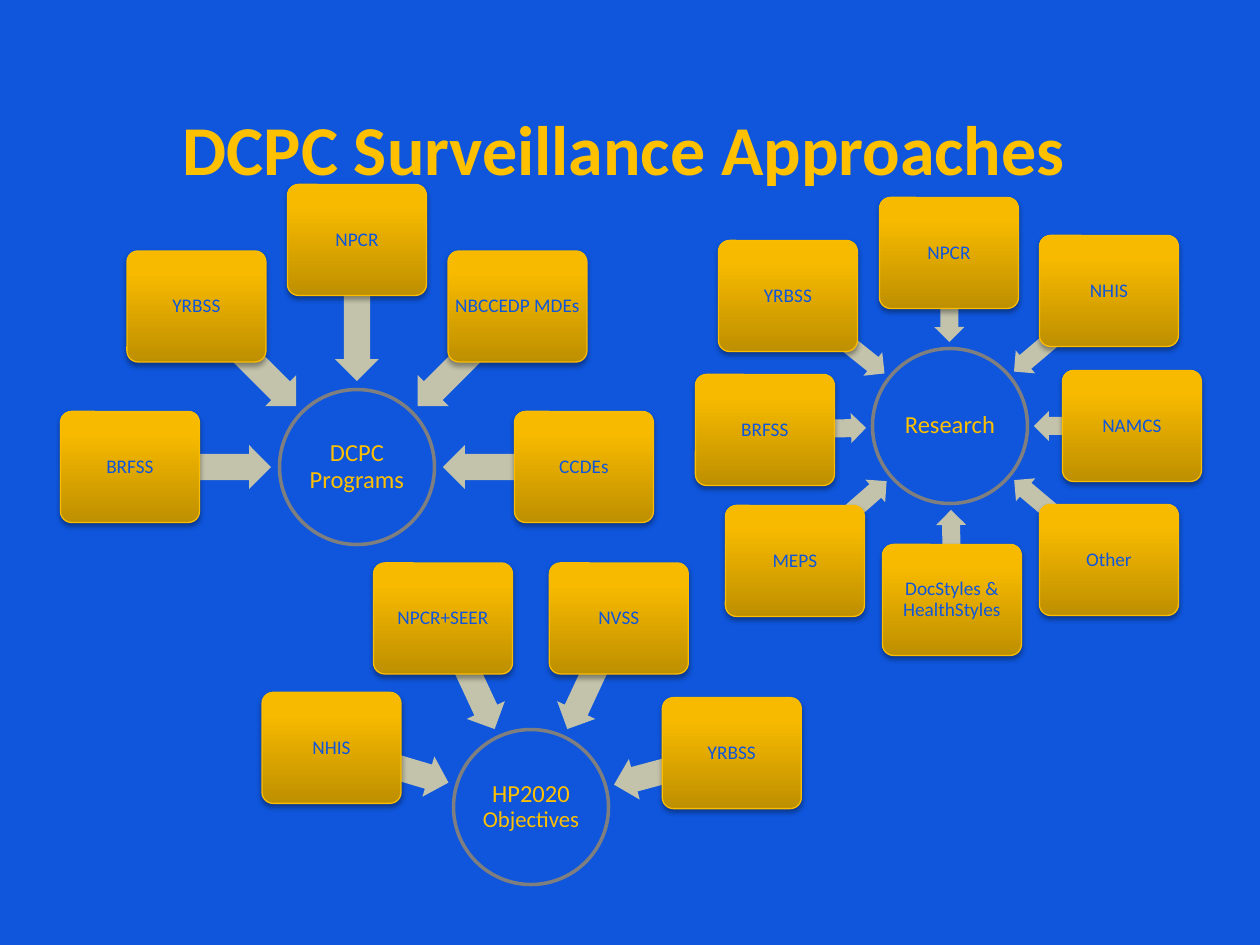
import math
from dataclasses import dataclass

import pptx
import pptx.dml.color
import pptx.enum.shapes
import pptx.enum.text
import pptx.oxml
import pptx.oxml.ns
import pptx.util

SHAPE = pptx.enum.shapes.MSO_SHAPE
ANCHOR = pptx.enum.text.MSO_ANCHOR
NS = pptx.oxml.ns.nsdecls("a")


@dataclass(frozen=True)
class Theme:
    font: str = "Calibri"
    blue: str = "0F56DC"
    gold: str = "FFC000"
    ring: str = "7F7F7F"
    arrow: str = "C3C3AB"
    edge: str = "F9BC00"
    gradient: tuple = ((0, "BE8F00"), (80, "F7BA00"), (100, "F8BB00"))
    title_size: int = 40
    hub_size: int = 14
    node_size: int = 11


def px(n):
    return pptx.util.Emu(round(n * 914400 / 126))


def rgb(value):
    return pptx.dml.color.RGBColor.from_string(value)


def polar(center, radius, degrees):
    a = math.radians(degrees)
    return center[0] + radius * math.cos(a), center[1] + radius * math.sin(a)


class Diagram:
    HUB = 155
    NODE = (139, 111)

    def __init__(self, slide, theme):
        self.slide, self.theme = slide, theme
        slide.background.fill.solid()
        slide.background.fill.fore_color.rgb = rgb(theme.blue)

    def shape(self, kind, center, width, height):
        x, y = center
        sp = self.slide.shapes.add_shape(
            kind, px(x - width / 2), px(y - height / 2), px(width), px(height))
        sp.shadow.inherit = False
        return sp

    def label(self, sp, runs, size, color, inset=None, anchor=ANCHOR.MIDDLE, bold=False):
        """Fill sp with one centred paragraph; runs are (text, own size or None)."""
        tf = sp.text_frame
        tf.word_wrap = True
        tf.vertical_anchor = anchor
        if inset is not None:
            tf.margin_left = tf.margin_right = tf.margin_top = tf.margin_bottom = px(inset)
        p = tf.paragraphs[0]
        p.alignment = pptx.enum.text.PP_ALIGN.CENTER
        p.line_spacing = 0.9
        p.font.name, p.font.bold = self.theme.font, bold
        p.font.size = pptx.util.Pt(size)
        p.font.color.rgb = rgb(color)
        for text, own_size in runs:
            r = p.add_run()
            r.text = text
            if own_size:
                r.font.size = pptx.util.Pt(own_size)

    def title(self, text):
        t = self.theme
        sp = self.slide.shapes.add_textbox(px(57), px(92), px(1134), px(105))
        self.label(sp, [(text, None)], t.title_size, t.gold, anchor=ANCHOR.BOTTOM, bold=True)

    def hub(self, center, runs):
        t = self.theme
        sp = self.shape(SHAPE.OVAL, center, self.HUB, self.HUB)
        sp.fill.solid()
        sp.fill.fore_color.rgb = rgb(t.blue)
        sp.line.color.rgb = rgb(t.ring)
        sp.line.width = pptx.util.Pt(2)
        self.label(sp, runs, t.hub_size, t.gold, inset=1)

    def arrow(self, node, hub, reach, thickness):
        """Point from the node's centre to a tip that stops reach short of the hub's centre."""
        angle = math.degrees(math.atan2(node[1] - hub[1], node[0] - hub[0]))
        length = math.dist(node, hub) - reach
        middle = polar(hub, reach + length / 2, angle)
        sp = self.shape(SHAPE.LEFT_ARROW, middle, length, thickness)
        sp.adjustments[0], sp.adjustments[1] = 0.6, 0.5
        sp.rotation = round(angle % 360, 1)
        sp.fill.solid()
        sp.fill.fore_color.rgb = rgb(self.theme.arrow)
        sp.line.fill.background()

    def node(self, center, text):
        t = self.theme
        sp = self.shape(SHAPE.ROUNDED_RECTANGLE, center, *self.NODE)
        sp.adjustments[0] = 0.1
        sp.line.color.rgb = rgb(t.edge)
        sp.line.width = pptx.util.Pt(0.75)
        stops = "".join(f'<a:gs pos="{pos * 1000}"><a:srgbClr val="{color}"/></a:gs>'
                        for pos, color in t.gradient)
        spPr = sp.element.spPr
        spPr.find(pptx.oxml.ns.qn("a:ln")).addprevious(pptx.oxml.parse_xml(
            f'<a:gradFill {NS} rotWithShape="1"><a:gsLst>{stops}</a:gsLst>'
            '<a:lin ang="16200000" scaled="0"/></a:gradFill>'))
        blur, distance = pptx.util.Pt(3.1), pptx.util.Pt(1.8)
        spPr.find(pptx.oxml.ns.qn("a:effectLst")).append(pptx.oxml.parse_xml(
            f'<a:outerShdw {NS} blurRad="{blur}" dist="{distance}" dir="5400000" rotWithShape="0">'
            '<a:srgbClr val="000000"><a:alpha val="35000"/></a:srgbClr></a:outerShdw>'))
        self.label(sp, [(text, None)], t.node_size, t.blue, inset=2)

    def cluster(self, center, runs, nodes, reach, thickness):
        self.hub(center, runs)
        for text, spot in nodes:
            self.arrow(spot, center, reach, thickness)
            self.node(spot, text)


def main():
    prs = pptx.Presentation()
    prs.slide_width, prs.slide_height = px(1260), px(945)
    d = Diagram(prs.slides.add_slide(prs.slide_layouts[6]), Theme())
    d.title("DCPC Surveillance Approaches")

    objectives = (531, 807)
    sources = [("NHIS", 196.5), ("NPCR+SEER", 245), ("NVSS", 295), ("YRBSS", 345)]
    d.cluster(objectives, [("HP2020 ", None), ("Objectives", 13)],
              [(text, polar(objectives, 208, angle)) for text, angle in sources],
              reach=86, thickness=42)

    programs = (357, 467)
    sources = ["BRFSS", "YRBSS", "NPCR", "NBCCEDP MDEs", "CCDEs"]
    d.cluster(programs, [("DCPC Programs", None)],
              [(text, polar(programs, 227, 180 + 45 * i)) for i, text in enumerate(sources)],
              reach=86, thickness=44)

    d.cluster((950, 426), [("Research", None)],
              [("BRFSS", (765, 430)), ("YRBSS", (788, 296)), ("NPCR", (949, 253)),
               ("NHIS", (1109, 291)), ("MEPS", (795, 561)), ("NAMCS", (1132, 426)),
               ("DocStyles & HealthStyles", (952, 600)), ("Other", (1109, 560))],
              reach=84, thickness=30)
    prs.save("out.pptx")


if __name__ == "__main__":
    main()
